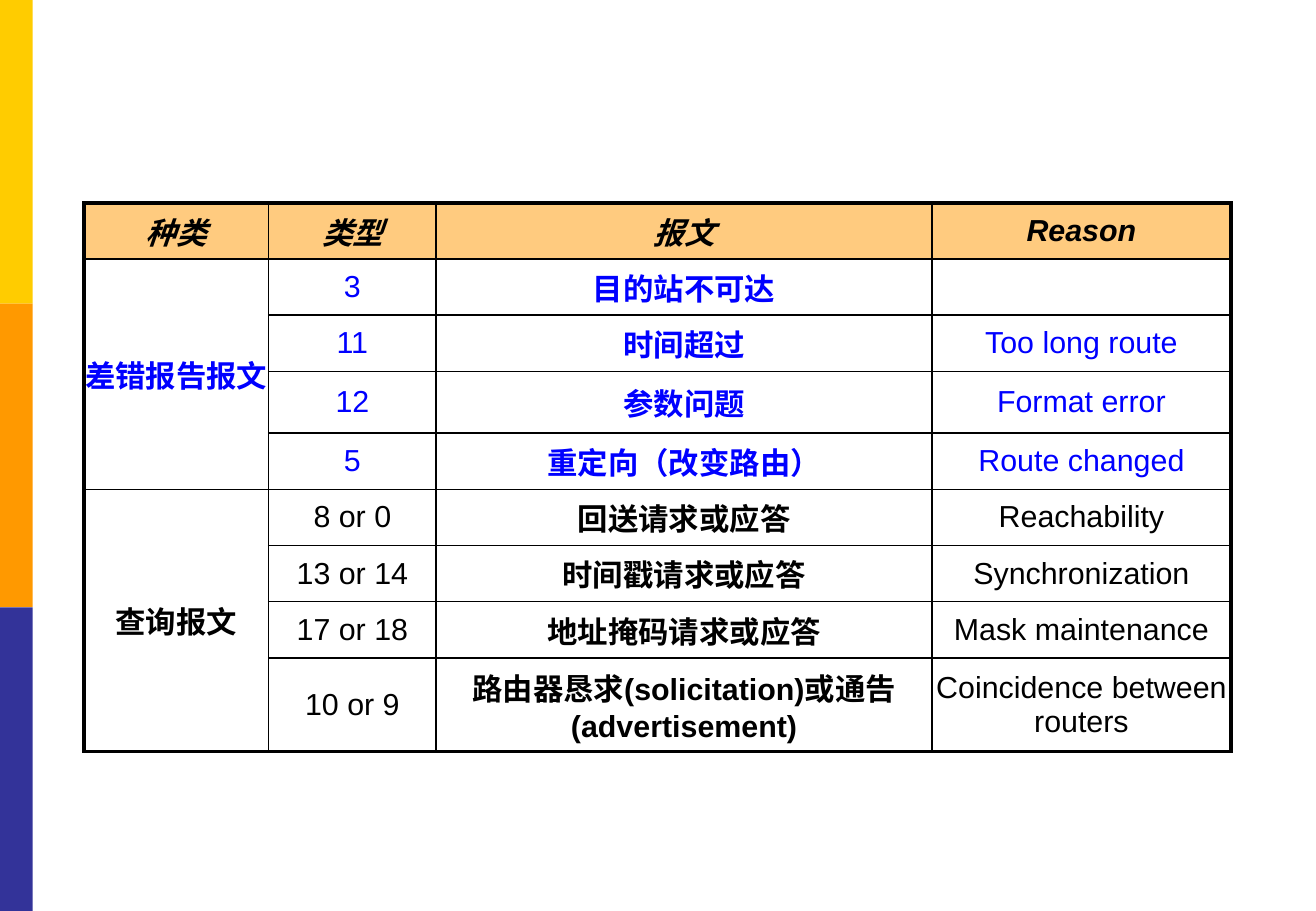
from dataclasses import dataclass

from lxml import etree
from pptx import Presentation
from pptx.dml.color import RGBColor
from pptx.enum.shapes import MSO_SHAPE
from pptx.enum.text import MSO_ANCHOR, PP_ALIGN
from pptx.oxml.ns import qn
from pptx.util import Inches, Pt

RECTANGLE = MSO_SHAPE.RECTANGLE
MIDDLE = MSO_ANCHOR.MIDDLE
CENTER = PP_ALIGN.CENTER
BLANK_LAYOUT = 6


@dataclass(frozen=True)
class Theme:
    font: str = "Arial"
    text_size: float = 18
    black: str = "000000"
    error_blue: str = "0000FF"
    header_orange: str = "FF9900"
    header_opacity: int = 50
    side_bands: tuple = ("FFCC00", "FF9900", "333399")
    inner_line: float = 1
    outer_line: float = 2.25


# Content
HEADER = ("种类", "类型", "报文", "Reason")
ERROR_MESSAGES = (
    ("3", "目的站不可达", ""),
    ("11", "时间超过", "Too long route"),
    ("12", "参数问题", "Format error"),
    ("5", "重定向（改变路由）", "Route changed"),
)
QUERY_MESSAGES = (
    ("8 or 0", "回送请求或应答", "Reachability"),
    ("13 or 14", "时间戳请求或应答", "Synchronization"),
    ("17 or 18", "地址掩码请求或应答", "Mask maintenance"),
    ("10 or 9", "路由器恳求(solicitation)或通告(advertisement)",
     "Coincidence between routers"),
)
COLUMN_WIDTHS = (1.52, 1.38, 4.08, 2.46)
ROW_HEIGHTS = (0.43, 0.44, 0.44, 0.51, 0.44, 0.44, 0.44, 0.44, 0.77)
BOLD_COLUMNS = (0, 2)


class SlideBuilder:
    def __init__(self, slide, theme):
        self.slide = slide
        self.theme = theme

    def band(self, left, top, width, height, color):
        band = self.slide.shapes.add_shape(
            RECTANGLE, Inches(left), Inches(top), Inches(width), Inches(height))
        band.shadow.inherit = False
        band.fill.solid()
        band.fill.fore_color.rgb = RGBColor.from_string(color)
        band.line.fill.background()

    def table(self, left, top, height, column_widths, row_heights):
        frame = self.slide.shapes.add_table(
            len(row_heights), len(column_widths), Inches(left), Inches(top),
            Inches(sum(column_widths)), Inches(height))
        table = frame.table
        table.first_row = table.horz_banding = False
        for column, width in zip(table.columns, column_widths):
            column.width = Inches(width)
        for row, row_height in zip(table.rows, row_heights):
            row.height = Inches(row_height)
        frame.height = Inches(height)
        return table

    def cell_text(self, cell, text, color, bold=False, italic=False):
        cell.vertical_anchor = MIDDLE
        cell.margin_left = cell.margin_right = 0
        cell.margin_top = cell.margin_bottom = Inches(0.05)
        cell.text_frame.text = text
        paragraph = cell.text_frame.paragraphs[0]
        paragraph.alignment = CENTER
        for run in paragraph.runs:
            run.font.name = self.theme.font
            run.font.size = Pt(self.theme.text_size)
            run.font.bold = bold
            run.font.italic = italic
            run.font.color.rgb = RGBColor.from_string(color)

    def header_fill(self, cell):
        cell.fill.solid()
        cell.fill.fore_color.rgb = RGBColor.from_string(self.theme.header_orange)
        color = cell._tc.tcPr.find(".//" + qn("a:srgbClr"))
        etree.SubElement(color, qn("a:alpha"),
                         val=str(self.theme.header_opacity * 1000))

    def cell_borders(self, cell, outer_sides):
        for position, side in enumerate("LRTB"):
            points = (self.theme.outer_line if side in outer_sides
                      else self.theme.inner_line)
            line = etree.Element(qn(f"a:ln{side}"), w=str(Pt(points)))
            fill = etree.SubElement(line, qn("a:solidFill"))
            etree.SubElement(fill, qn("a:srgbClr"), val=self.theme.black)
            cell._tc.tcPr.insert(position, line)

    def table_borders(self, table):
        last_row, last_column = len(table.rows) - 1, len(table.columns) - 1
        for row in range(last_row + 1):
            for column in range(last_column + 1):
                cell = table.cell(row, column)
                bottom_row = row + (cell.span_height - 1 if cell.is_merge_origin else 0)
                edges = {"L": column == 0, "R": column == last_column,
                         "T": row == 0, "B": bottom_row == last_row}
                self.cell_borders(cell, [side for side, outer in edges.items() if outer])


def main():
    theme = Theme()
    presentation = Presentation()
    presentation.slide_width = Inches(10.83)
    presentation.slide_height = Inches(7.5)
    slide = presentation.slides.add_slide(presentation.slide_layouts[BLANK_LAYOUT])
    builder = SlideBuilder(slide, theme)

    # Side bands
    for index, color in enumerate(theme.side_bands):
        builder.band(0, 2.5 * index, 0.27, 2.5, color)

    # Table header
    messages = builder.table(0.69, 1.67, 4.82, COLUMN_WIDTHS, ROW_HEIGHTS)
    for column, heading in enumerate(HEADER):
        cell = messages.cell(0, column)
        builder.cell_text(cell, heading, theme.black, bold=True, italic=True)
        builder.header_fill(cell)

    # Message groups, each under one merged category cell
    groups = (("差错报告报文", ERROR_MESSAGES, theme.error_blue),
              ("查询报文", QUERY_MESSAGES, theme.black))
    first_row = 1
    for category, entries, color in groups:
        for row, entry in enumerate(entries, first_row):
            label = category if row == first_row else ""
            for column, text in enumerate((label, *entry)):
                cell = messages.cell(row, column)
                builder.cell_text(cell, text, color, bold=column in BOLD_COLUMNS)
                cell.fill.background()
        last_row = first_row + len(entries) - 1
        messages.cell(first_row, 0).merge(messages.cell(last_row, 0))
        first_row = last_row + 1

    builder.table_borders(messages)
    presentation.save("out.pptx")


if __name__ == "__main__":
    main()
